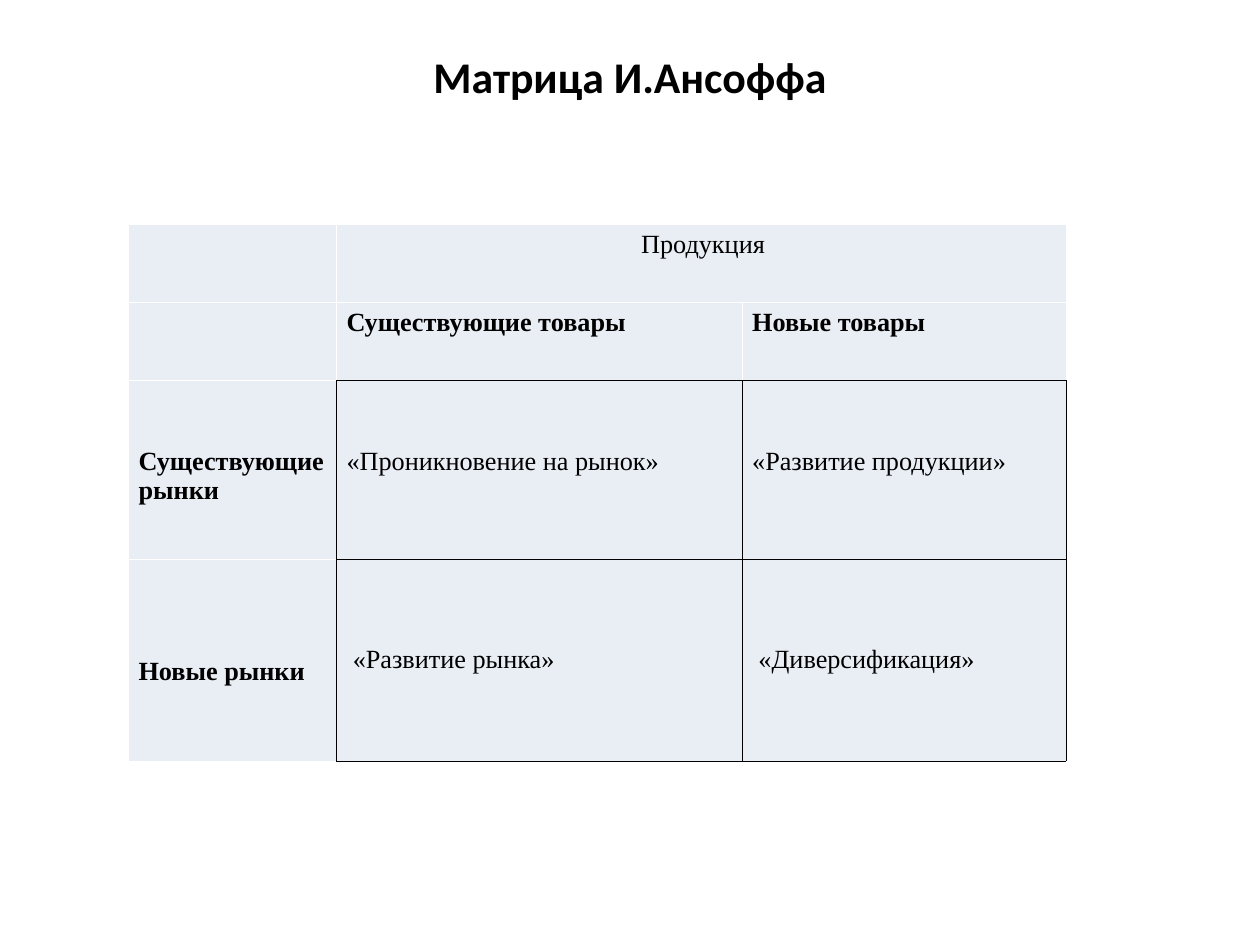
from lxml import etree
from pptx import Presentation
from pptx.dml.color import RGBColor
from pptx.enum.text import MSO_ANCHOR, PP_ALIGN
from pptx.oxml.ns import qn
from pptx.util import Inches, Pt

BLACK, WHITE, PALE = "000000", "FFFFFF", "E9EDF4"
COLUMN_WIDTHS = [1.65, 3.22, 2.57]
ROW_HEIGHTS = [0.62, 0.62, 1.42, 1.6]
MATRIX = [
    ["", "Продукция", ""],
    ["", "Существующие товары", "Новые товары"],
    ["Существующие рынки", "«Проникновение на рынок»", "«Развитие продукции»"],
    ["Новые рынки", "«Развитие рынка»", "«Диверсификация»"],
]


def color(hex_string):
    return RGBColor.from_string(hex_string)


def format_text(text_frame, font_name, size, bold, align):
    for paragraph in text_frame.paragraphs:
        paragraph.alignment = align
        for run in paragraph.runs:
            run.font.name = font_name
            run.font.size = Pt(size)
            run.font.bold = bold
            run.font.color.rgb = color(BLACK)


def set_borders(cell, colors):
    """Draw the borders, given as hex colours for left, right, top, bottom."""
    properties = cell._tc.get_or_add_tcPr()
    for index, (side, hex_string) in enumerate(zip("LRTB", colors)):
        line = etree.Element(qn(f"a:ln{side}"), w=str(Pt(0.45)))
        fill = etree.SubElement(line, qn("a:solidFill"))
        etree.SubElement(fill, qn("a:srgbClr"), val=hex_string)
        properties.insert(index, line)


def add_title(slide, left, top, width, height):
    title = slide.shapes.title
    title.left, title.top = Inches(left), Inches(top)
    title.width, title.height = Inches(width), Inches(height)
    title.text_frame.text = "Матрица И.Ансоффа"
    title.text_frame.vertical_anchor = MSO_ANCHOR.MIDDLE
    format_text(title.text_frame, "Calibri", 25, True, PP_ALIGN.CENTER)


def format_cell(cell, row, column):
    is_strategy = row >= 2 and column >= 1
    is_label = (row == 1) != (column == 0)
    cell.fill.solid()
    cell.fill.fore_color.rgb = color(PALE)

    # Strategies are framed in black, and neighbours share that edge
    if is_strategy:
        borders = [BLACK] * 4
    else:
        right = BLACK if row >= 2 else WHITE
        bottom = BLACK if row == 1 and column >= 1 else WHITE
        borders = [WHITE, right, WHITE, bottom]
    set_borders(cell, borders)

    # Text placement: lower rows are pushed down inside their cells
    cell.margin_left = Inches(0.08)
    cell.margin_right = cell.margin_top = cell.margin_bottom = Inches(0.05)
    if row == 2:
        cell.margin_top = Inches(0.53)
    elif row == 3 and is_strategy:
        cell.margin_left = Inches(0.13)
        cell.vertical_anchor = MSO_ANCHOR.MIDDLE
    elif row == 3:
        cell.margin_top = Inches(0.78)
    if MATRIX[row][column]:
        cell.text_frame.text = MATRIX[row][column]
        align = PP_ALIGN.CENTER if row == 0 else PP_ALIGN.LEFT
        format_text(cell.text_frame, "Times New Roman", 15, is_label, align)


def add_matrix(slide, left, top):
    table = slide.shapes.add_table(
        len(ROW_HEIGHTS), len(COLUMN_WIDTHS), Inches(left), Inches(top),
        Inches(sum(COLUMN_WIDTHS)), Inches(sum(ROW_HEIGHTS))).table
    table.first_row = table.horz_banding = False
    for column, width in zip(table.columns, COLUMN_WIDTHS):
        column.width = Inches(width)
    for row, height in zip(table.rows, ROW_HEIGHTS):
        row.height = Inches(height)
    for row in range(len(ROW_HEIGHTS)):
        for column in range(len(COLUMN_WIDTHS)):
            format_cell(table.cell(row, column), row, column)
    # Product heading spans both product columns
    table.cell(0, 1).merge(table.cell(0, 2))


def main():
    presentation = Presentation()
    presentation.slide_width, presentation.slide_height = Inches(10), Inches(7.5)
    slide = presentation.slides.add_slide(presentation.slide_layouts[5])
    add_title(slide, 0.5, 0.3, 9, 0.61)
    add_matrix(slide, 1.02, 1.78)
    presentation.save("out.pptx")


if __name__ == "__main__":
    main()
